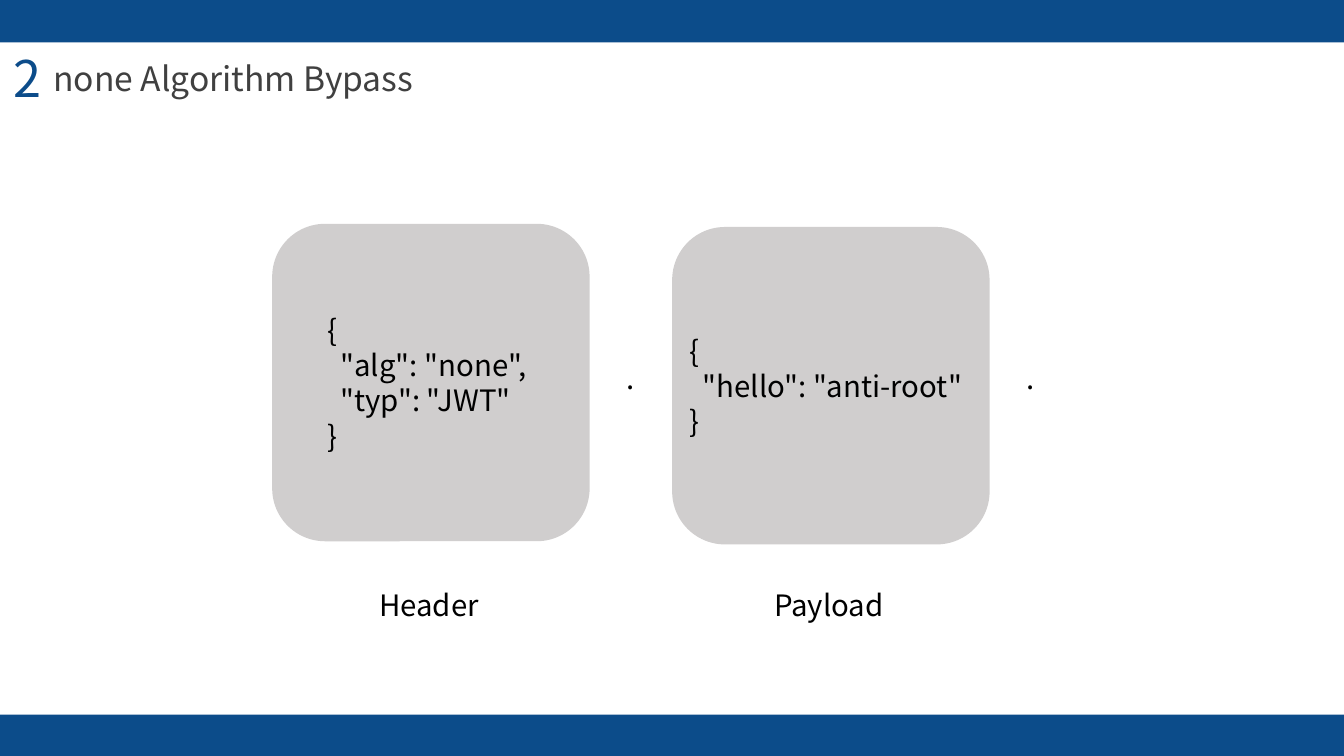
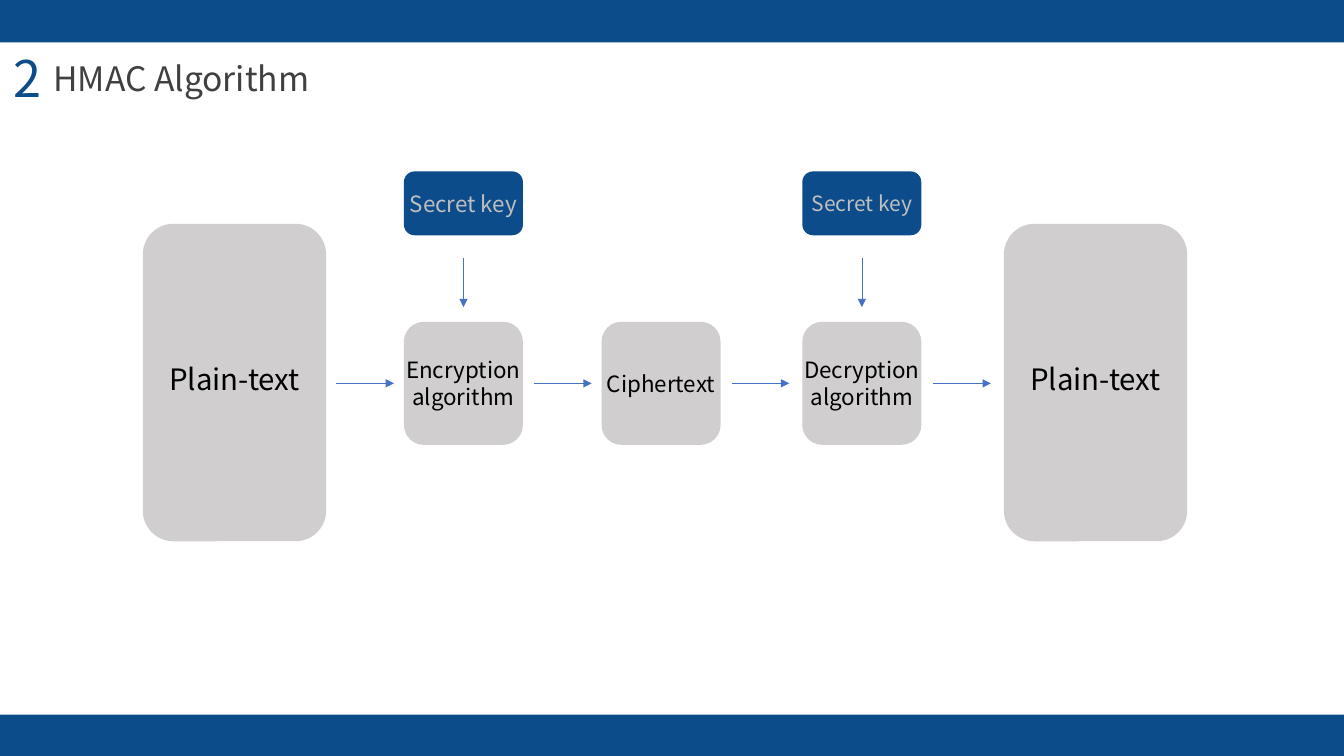
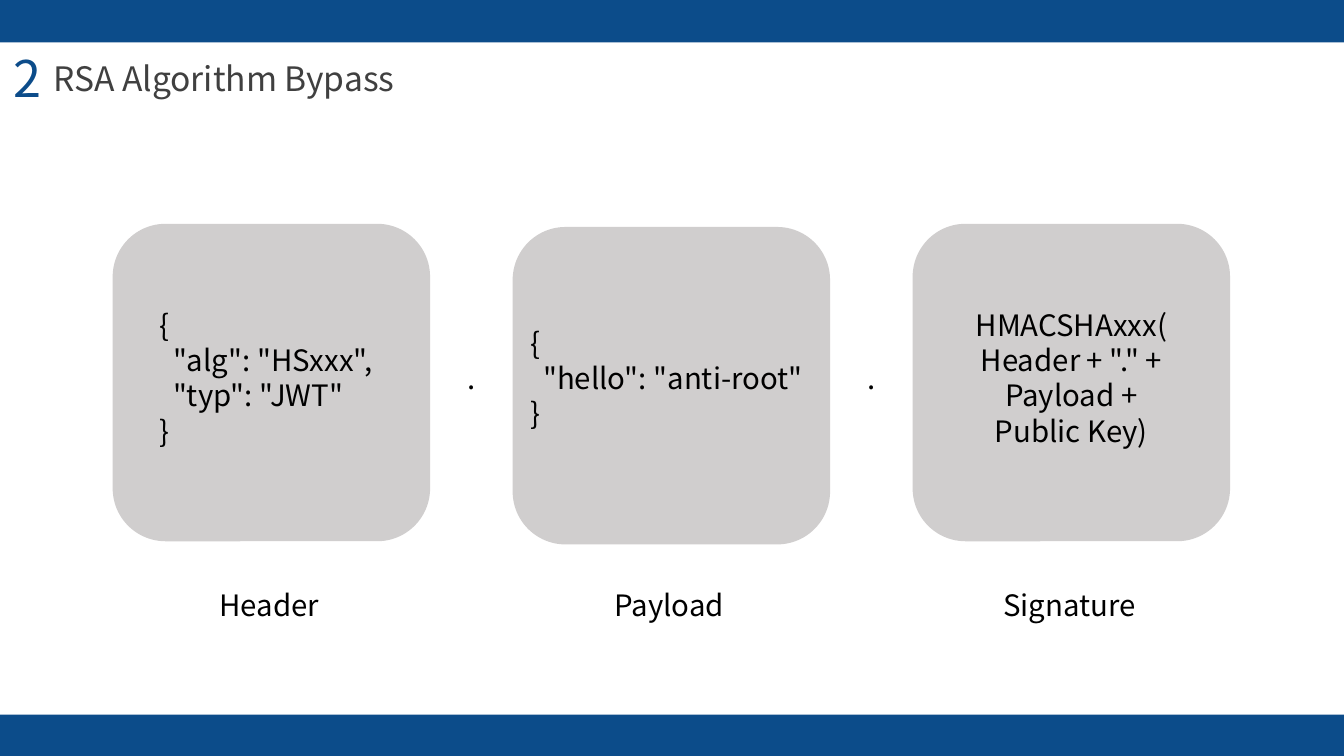
"""Builds three slides on JWT algorithm bypasses and the HMAC flow."""
from lxml.etree import SubElement
from pptx import Presentation
from pptx.dml.color import RGBColor
from pptx.enum.shapes import MSO_CONNECTOR, MSO_SHAPE
from pptx.enum.text import MSO_ANCHOR, MSO_AUTO_SIZE, PP_ALIGN
from pptx.oxml.ns import qn
from pptx.util import Cm, Pt

FONT = "Noto Sans CJK KR"
COLORS = {
    "band": "0C4C8A",
    "title": "404040",
    "card": "D0CECE",
    "text": "000000",
    "key_text": "BFBFBF",
    "arrow": "4472C4",
}
WIDTH, HEIGHT = 33.87, 19.05
BANDS = [(0, 1.07), (18.01, 1.04)]
SECTION = "2"

CARD, PITCH, CARD_TOPS = 8, 10.08, (5.64, 5.72, 5.64)
DOT_WIDTH = 0.76
PAYLOAD = ["{", '  "hello": "anti-root"', "}"]
TOKENS = [
    {
        "title": "none Algorithm Bypass",
        "left": 6.86,
        "parts": [
            {"label": "Header", "indent": 1, "raise": 0,
             "lines": ["{", '  "alg": "none",', '  "typ": "JWT"', "}"]},
            {"label": "Payload", "indent": 0.05, "raise": 0, "lines": PAYLOAD},
        ],
    },
    {
        "title": "RSA Algorithm Bypass",
        "left": 2.84,
        "parts": [
            {"label": "Header", "indent": 0.8, "raise": 0.25,
             "lines": ["{", '  "alg": "HSxxx",', '  "typ": "JWT"', "}"]},
            {"label": "Payload", "indent": 0.05, "raise": 0.4, "lines": PAYLOAD},
            {"label": "Signature", "indent": None, "raise": 0.25,
             "lines": ['HMACSHAxxx(\vHeader + "." +\vPayload +', "Public Key)"]},
        ],
    },
]

HMAC_TITLE = "HMAC Algorithm"
PLAIN_TEXT, PLAIN_LEFTS = "Plain-text", (3.6, 25.3)
STEP_WIDTH = 3
STEPS = [
    (10.18, "Encryption\valgorithm"),
    (15.16, "Ciphertext"),
    (20.22, "Decryption\valgorithm"),
]
KEYS = [(10.18, 16), (20.22, 15)]
FLOW_LEFTS, FLOW_Y, FLOW_LENGTH = (8.48, 13.46, 18.44, 23.52), 9.66, 1.45


def rgb(color):
    return RGBColor.from_string(COLORS[color])


def write(frame, lines, size, color="text", align=PP_ALIGN.CENTER, wrap=False):
    frame.word_wrap = wrap
    frame.auto_size = MSO_AUTO_SIZE.NONE
    for index, line in enumerate(lines):
        paragraph = frame.add_paragraph() if index else frame.paragraphs[0]
        paragraph.alignment = align
        for position, piece in enumerate(line.split("\v")):
            if position:
                paragraph.add_line_break()
            run = paragraph.add_run()
            run.text = piece
            run.font.name = FONT
            run.font.size = Pt(size)
            run.font.color.rgb = rgb(color)


def add_block(slide, kind, left, top, width, height, color):
    block = slide.shapes.add_shape(kind, Cm(left), Cm(top), Cm(width), Cm(height))
    block.shadow.inherit = False
    block.fill.solid()
    block.fill.fore_color.rgb = rgb(color)
    block.line.fill.background()
    return block


def add_card(slide, left, top, width, height, lines, size, color="card",
             text_color="text", indent=None, lift=0):
    card = add_block(slide, MSO_SHAPE.ROUNDED_RECTANGLE, left, top, width, height, color)
    frame = card.text_frame
    frame.vertical_anchor = MSO_ANCHOR.MIDDLE
    frame.margin_left = Cm(indent or 0)
    frame.margin_right = frame.margin_top = 0
    frame.margin_bottom = Cm(lift)
    code = indent is not None
    write(frame, lines, size, text_color,
          PP_ALIGN.LEFT if code else PP_ALIGN.CENTER, wrap=code)


def add_label(slide, left, top, width, text, size=21, height=1.14, **style):
    label = slide.shapes.add_textbox(Cm(left), Cm(top), Cm(width), Cm(height))
    write(label.text_frame, [text], size, **style)


def add_arrow(slide, left, top, right, bottom):
    arrow = slide.shapes.add_connector(
        MSO_CONNECTOR.STRAIGHT, Cm(left), Cm(top), Cm(right), Cm(bottom))
    arrow.line.color.rgb = rgb("arrow")
    arrow.line.width = Pt(0.5)
    SubElement(arrow.line._get_or_add_ln(), qn("a:tailEnd"), type="triangle")
    SubElement(arrow._element.spPr, qn("a:effectLst"))


def add_page(deck, heading):
    slide = deck.slides.add_slide(deck.slide_layouts[5])
    for top, height in BANDS:
        add_block(slide, MSO_SHAPE.RECTANGLE, 0, top, WIDTH, height, "band")
    add_label(slide, 0.08, 1.07, 1.24, SECTION, 36, 1.8,
              color="band", align=PP_ALIGN.LEFT)
    title = slide.shapes.title
    title.left, title.top, title.width, title.height = Cm(1.09), Cm(1.32), Cm(20), Cm(1.27)
    title.text_frame.vertical_anchor = MSO_ANCHOR.TOP
    write(title.text_frame, [heading], 24, "title", PP_ALIGN.LEFT, wrap=True)
    return slide


def add_token_page(deck, token):
    slide = add_page(deck, token["title"])
    for index, part in enumerate(token["parts"]):
        left = token["left"] + index * PITCH
        add_card(slide, left, CARD_TOPS[index], CARD, CARD, part["lines"], 21,
                 indent=part["indent"], lift=part["raise"])
        add_label(slide, left - 0.05, 14.66, CARD, part["label"])
        if index < 2:
            gap_middle = left + (CARD + PITCH) / 2
            add_label(slide, gap_middle - DOT_WIDTH / 2, 8.96, DOT_WIDTH, ".")


def add_hmac_page(deck):
    slide = add_page(deck, HMAC_TITLE)
    for left in PLAIN_LEFTS:
        add_card(slide, left, 5.64, 4.62, CARD, [PLAIN_TEXT], 21, lift=0.2)
    for left, step in STEPS:
        add_card(slide, left, 8.11, STEP_WIDTH, 3.1, [step], 16)
    for left, size in KEYS:
        add_card(slide, left, 4.32, STEP_WIDTH, 1.61, ["Secret key"], size,
                 "band", "key_text")
        middle = left + STEP_WIDTH / 2
        add_arrow(slide, middle, 6.5, middle, 7.74)
    for left in FLOW_LEFTS:
        add_arrow(slide, left, FLOW_Y, left + FLOW_LENGTH, FLOW_Y)


def main():
    deck = Presentation()
    deck.slide_width, deck.slide_height = Cm(WIDTH), Cm(HEIGHT)
    none_token, rsa_token = TOKENS
    add_token_page(deck, none_token)
    add_hmac_page(deck)
    add_token_page(deck, rsa_token)
    deck.save("out.pptx")


if __name__ == "__main__":
    main()
